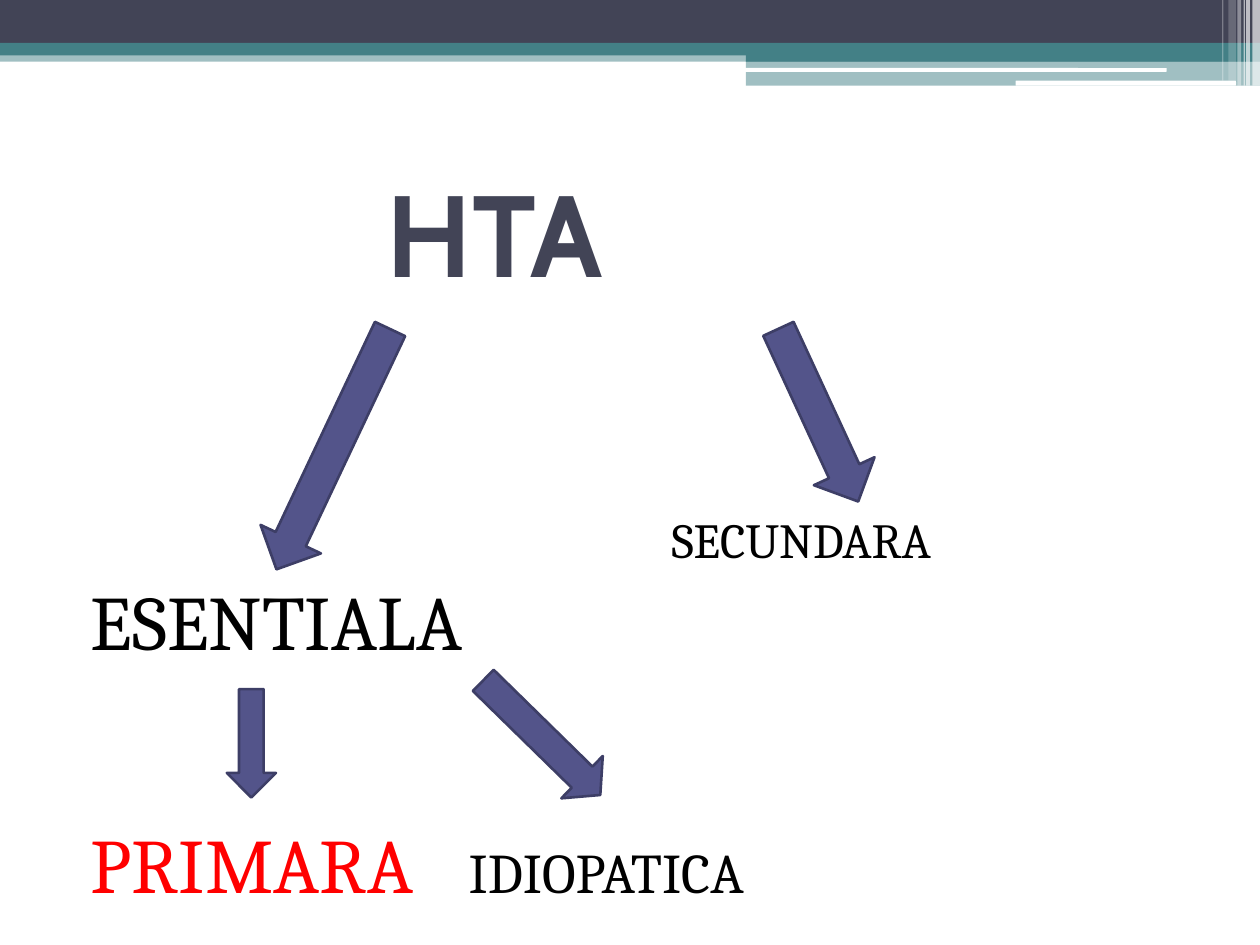
"""Build the HTA classification slide."""
import pptx
import pptx.util
import pptx.dml.color
import pptx.enum.shapes
import pptx.enum.text
import pptx.oxml.ns
import lxml.etree

Inches = pptx.util.Inches
Pt = pptx.util.Pt
qn = pptx.oxml.ns.qn
SHAPE = pptx.enum.shapes.MSO_SHAPE
COLOURS = {
    "navy": "424456", "teal": "438086", "white": "FFFFFF", "black": "000000",
    "red": "FF0000", "arrow": "53548A", "outline": "3D3E66",
}


class SlideBuilder:
    def __init__(self, deck):
        self.page = deck.slides.add_slide(deck.slide_layouts[1])

    def colour(self, name):
        return pptx.dml.color.RGBColor.from_string(COLOURS[name])

    def shape(self, kind, place, fill, alpha=100):
        box = self.page.shapes.add_shape(kind, *map(Inches, place))
        box.shadow.inherit = False
        box.fill.solid()
        box.fill.fore_color.rgb = self.colour(fill)
        box.line.fill.background()
        if alpha < 100:
            tint = box.fill._xPr.find(".//" + qn("a:srgbClr"))
            lxml.etree.SubElement(tint, qn("a:alpha"), val=str(alpha * 1000))
        return box

    def arrow(self, kind, place, rotation=0, head=0.5):
        box = self.shape(kind, place, "arrow")
        box.rotation = rotation
        box.adjustments[1] = head
        box.line.color.rgb = self.colour("outline")
        box.line.width = Pt(1.5)

    def style(self, font, face, size, colour, bold=False):
        font.name, font.size, font.bold = face, Pt(size), bold
        font.color.rgb = self.colour(colour)

    def frame(self, box, place, inset, anchor):
        box.left, box.top, box.width, box.height = map(Inches, place)
        frame = box.text_frame
        frame.word_wrap = True
        frame.auto_size = pptx.enum.text.MSO_AUTO_SIZE.NONE
        frame.margin_left = Inches(inset)
        frame.vertical_anchor = anchor
        return frame

    def title(self, text, place, inset):
        frame = self.frame(self.page.shapes.title, place, inset,
                           pptx.enum.text.MSO_ANCHOR.MIDDLE)
        frame.text = text
        para = frame.paragraphs[0]
        para.alignment = pptx.enum.text.PP_ALIGN.LEFT
        self.style(para.font, "Cabin", 66, "navy", True)

    def labels(self, rows, place, inset):
        frame = self.frame(self.page.placeholders[1], place, inset,
                           pptx.enum.text.MSO_ANCHOR.TOP)
        for number, (before, indent, tab, spans) in enumerate(rows):
            para = frame.add_paragraph() if number else frame.paragraphs[0]
            para.space_before = Pt(before)
            properties = para._p.get_or_add_pPr()
            properties.set("marL", str(Inches(indent)))
            properties.set("indent", "0")
            lxml.etree.SubElement(properties, qn("a:buNone"))
            if tab:
                stops = lxml.etree.SubElement(properties, qn("a:tabLst"))
                lxml.etree.SubElement(stops, qn("a:tab"), pos=str(Inches(tab)), algn="l")
            for text, size, colour in spans:
                span = para.add_run()
                span.text = text
                font = para.font if len(spans) == 1 else span.font
                self.style(font, "Cambria", size, colour)


deck = pptx.Presentation()
deck.slide_width, deck.slide_height = Inches(10), Inches(7.5)
slide = SlideBuilder(deck)

for place, fill, alpha in [
    ((0, 0.4, 10, 0.09), "teal", 50),
    ((0, 0, 10, 0.34), "navy", 100),
    ((0, 0.34, 10, 0.1), "teal", 100),
    ((5.92, 0.39, 4.08, 0.1), "teal", 100),
    ((5.92, 0.48, 4.08, 0.2), "teal", 50),
]:
    slide.shape(SHAPE.RECTANGLE, place, fill, alpha)
for place in [(5.91, 0.54, 3.35, 0.03), (8.06, 0.64, 1.75, 0.04)]:
    slide.shape(SHAPE.ROUNDED_RECTANGLE, place, "white")
for left, width, height, alpha in [
    (9.94, 0.06, 0.68, 65), (9.89, 0.03, 0.68, 65), (9.87, 0.01, 0.68, 60),
    (9.82, 0.03, 0.68, 40), (9.75, 0.06, 0.64, 20), (9.7, 0.01, 0.64, 30),
]:
    slide.shape(SHAPE.RECTANGLE, (left, 0, width, height), "white", alpha)

slide.title("HTA", (0.5, 1.25, 9, 1.17), 2.57)
slide.labels([
    (0, 4.61, 0, [("SECUNDARA", 28, "black")]),
    (3, 0, 0, [("ESENTIALA", 44, "black")]),
    (86, 0, 3.91, [("PRIMARA", 44, "red"), ("\tIDIOPATICA", 32, "black")]),
], (0.5, 3.99, 9, 3.51), 0.22)

slide.arrow(SHAPE.DOWN_ARROW, (2.38, 2.51, 0.53, 2.11), 25.3)
slide.arrow(SHAPE.DOWN_ARROW, (6.23, 2.54, 0.53, 1.51), 335.2)
slide.arrow(SHAPE.DOWN_ARROW, (1.8, 5.47, 0.39, 0.86))
slide.arrow(SHAPE.RIGHT_ARROW, (3.65, 5.62, 1.3, 0.47), 44.4, 0.43)

deck.save("out.pptx")
